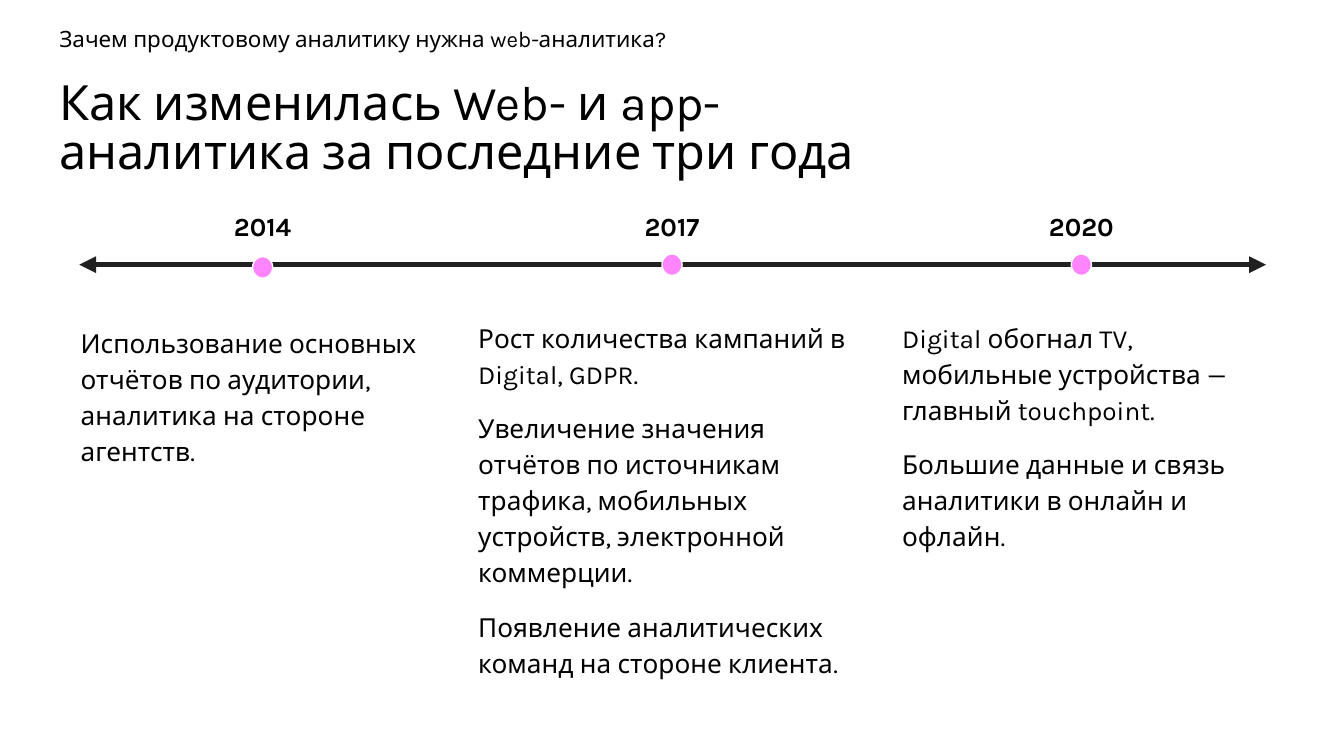
from dataclasses import dataclass

from lxml import etree
from pptx import Presentation
from pptx import util as u
from pptx.dml.color import RGBColor
from pptx.enum import shapes, text
from pptx.oxml import ns
from pptx.slide import Slide

BLACK = RGBColor(0x00, 0x00, 0x00)
WHITE = RGBColor(0xFF, 0xFF, 0xFF)
AXIS = RGBColor(0x21, 0x21, 0x21)
PINK = RGBColor(0xFF, 0x85, 0xFF)
FONT = "Karla"

AXIS_Y = 141.8
FIRST_YEAR_X = 140.7
YEAR_STEP = 219.3
DOT_WIDTH, DOT_HEIGHT = 10.8, 11.5
YEAR_WIDTH, YEAR_HEIGHT = 49, 15.8


@dataclass(frozen=True)
class Box:
    left: float
    top: float
    width: float
    height: float

    def emu(self) -> tuple[int, ...]:
        return tuple(u.Pt(v) for v in (self.left, self.top, self.width, self.height))


@dataclass(frozen=True)
class TextStyle:
    size: float
    bold: bool = False
    line_spacing: float = 1.0
    space_before: float = 0
    space_after: float = 0
    inset_top: float = 0
    inset_bottom: float = 0
    align: text.PP_ALIGN = text.PP_ALIGN.LEFT
    anchor: text.MSO_ANCHOR = text.MSO_ANCHOR.TOP


@dataclass(frozen=True)
class Milestone:
    year: str
    dot_top: float
    body: Box
    paragraphs: tuple[str, ...]


TITLE = TextStyle(26, line_spacing=0.85, inset_top=0.7)
SUBTITLE = TextStyle(12, line_spacing=1.15, space_after=12, inset_top=2.9,
                     inset_bottom=2.9, anchor=text.MSO_ANCHOR.MIDDLE)
YEAR = TextStyle(14, bold=True, align=text.PP_ALIGN.CENTER,
                 anchor=text.MSO_ANCHOR.MIDDLE)
BODY = TextStyle(14, line_spacing=1.15, space_before=10)

MILESTONES = (
    Milestone("2014", 137.5, Box(43.2, 172.8, 194.4, 36), (
        "Использование основных отчётов по аудитории, аналитика на стороне агентств.",
    )),
    Milestone("2017", 136.1, Box(256.2, 170, 208.8, 59.8), (
        "Рост количества кампаний в Digital, GDPR.",
        "Увеличение значения отчётов по источникам трафика, мобильных устройств, "
        "электронной коммерции.",
        "Появление аналитических команд на стороне клиента.",
    )),
    Milestone("2020", 136.1, Box(483.3, 170, 194.4, 59.8), (
        "Digital обогнал TV, мобильные устройства — главный touchpoint.",
        "Большие данные и связь аналитики в онлайн и офлайн.",
    )),
)


def add_text(slide: Slide, box: Box, paragraphs: tuple[str, ...], style: TextStyle) -> None:
    frame = slide.shapes.add_textbox(*box.emu()).text_frame
    frame.word_wrap = True
    frame.vertical_anchor = style.anchor
    frame.margin_left = frame.margin_right = 0
    frame.margin_top = u.Pt(style.inset_top)
    frame.margin_bottom = u.Pt(style.inset_bottom)
    for index, words in enumerate(paragraphs):
        paragraph = frame.add_paragraph() if index else frame.paragraphs[0]
        paragraph.alignment = style.align
        paragraph.line_spacing = style.line_spacing
        paragraph.space_before = u.Pt(style.space_before if index else 0)
        paragraph.space_after = u.Pt(style.space_after)
        run = paragraph.add_run()
        run.text = words
        run.font.name = FONT
        run.font.size = u.Pt(style.size)
        run.font.bold = style.bold
        run.font.color.rgb = BLACK


def add_axis(slide: Slide, start: float, end: float) -> None:
    axis = slide.shapes.add_connector(
        shapes.MSO_CONNECTOR.STRAIGHT,
        u.Pt(start), u.Pt(AXIS_Y), u.Pt(end), u.Pt(AXIS_Y))
    axis.line.color.rgb = AXIS
    axis.line.width = u.Pt(3)
    line = axis.line._get_or_add_ln()
    for tag in ("a:headEnd", "a:tailEnd"):
        etree.SubElement(line, ns.qn(tag), type="triangle")
    etree.SubElement(axis._element.spPr, ns.qn("a:effectLst"))


def add_dot(slide: Slide, box: Box) -> None:
    dot = slide.shapes.add_shape(shapes.MSO_SHAPE.OVAL, *box.emu())
    dot.shadow.inherit = False
    dot.fill.solid()
    dot.fill.fore_color.rgb = PINK
    dot.line.color.rgb = WHITE
    dot.line.width = u.Pt(0.75)


def add_milestone(slide: Slide, milestone: Milestone, center: float) -> None:
    add_dot(slide, Box(center - DOT_WIDTH / 2, milestone.dot_top, DOT_WIDTH, DOT_HEIGHT))
    year_box = Box(center - YEAR_WIDTH / 2, 113, YEAR_WIDTH, YEAR_HEIGHT)
    add_text(slide, year_box, (milestone.year,), YEAR)
    add_text(slide, milestone.body, milestone.paragraphs, BODY)


def main() -> None:
    deck = Presentation()
    deck.slide_width, deck.slide_height = u.Pt(720), u.Pt(405)
    slide = deck.slides.add_slide(deck.slide_layouts[6])
    slide.background.fill.solid()
    slide.background.fill.fore_color.rgb = WHITE
    add_text(slide, Box(31.8, 42.5, 476, 42.5),
             ("Как изменилась Web- и app-аналитика за последние три года",), TITLE)
    add_text(slide, Box(31.8, 8.6, 476, 21.6),
             ("Зачем продуктовому аналитику нужна web-аналитика?",), SUBTITLE)
    add_axis(slide, 42.5, 678.2)
    for index, milestone in enumerate(MILESTONES):
        add_milestone(slide, milestone, FIRST_YEAR_X + index * YEAR_STEP)
    deck.save("out.pptx")


if __name__ == "__main__":
    main()
